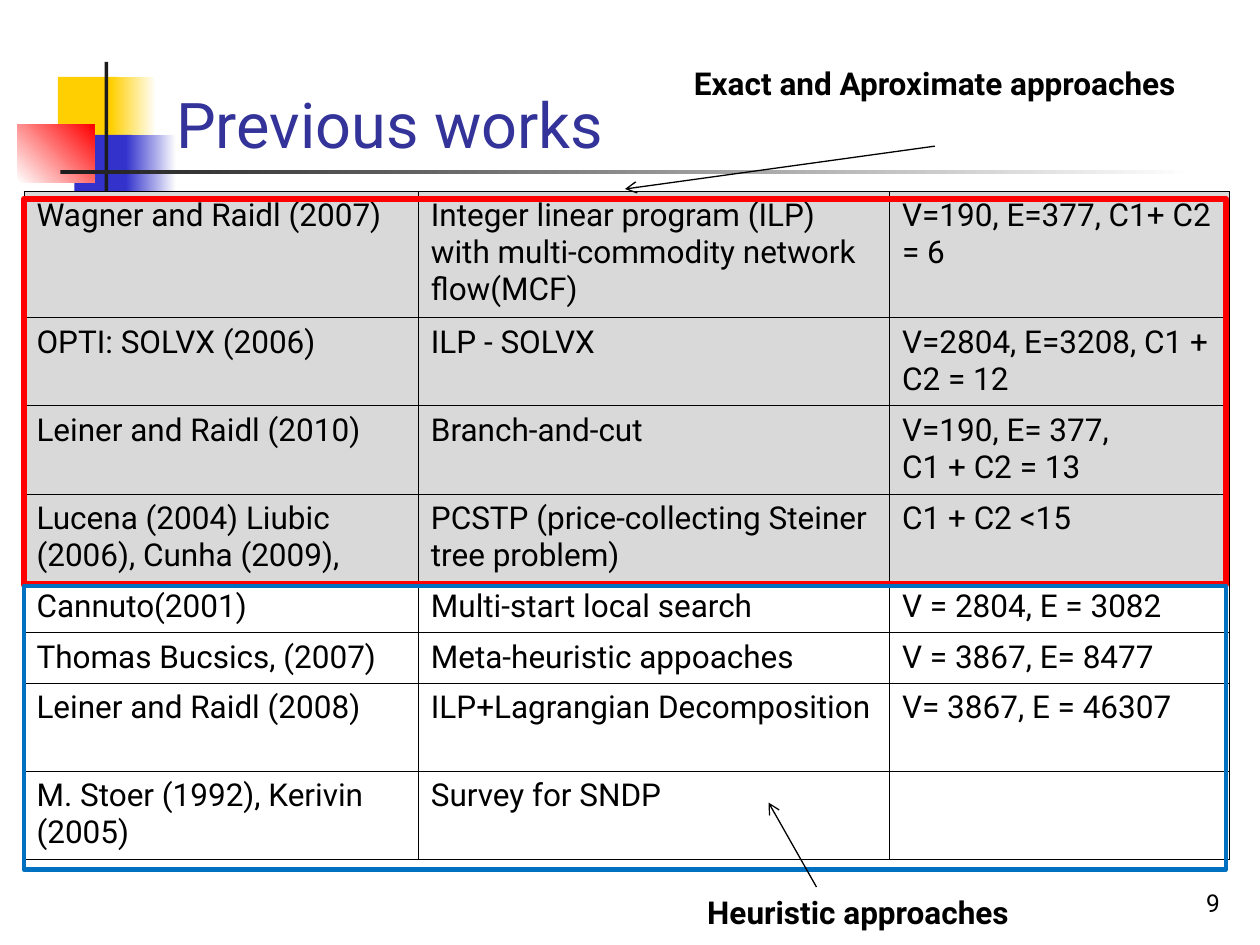
from dataclasses import dataclass

from lxml import etree
from pptx import Presentation
from pptx.dml.color import RGBColor
from pptx.enum.shapes import MSO_CONNECTOR, MSO_SHAPE
from pptx.enum.text import MSO_ANCHOR, PP_ALIGN
from pptx.oxml.ns import qn
from pptx.util import Inches, Pt

RECT = MSO_SHAPE.RECTANGLE
LINE = MSO_CONNECTOR.STRAIGHT
TOP, BOTTOM = MSO_ANCHOR.TOP, MSO_ANCHOR.BOTTOM
LEFT, CENTER, RIGHT = PP_ALIGN.LEFT, PP_ALIGN.CENTER, PP_ALIGN.RIGHT


@dataclass(frozen=True)
class Theme:
    font: str = "Roboto"
    ink: str = "000000"
    title: str = "333399"
    gold: str = "FFCF01"
    blue: str = "3333CC"
    red: str = "FF0000"
    bar: str = "1C1C1C"
    paper: str = "FFFFFF"
    gray: str = "D9D9D9"
    frame: str = "0070C0"
    head: int = 36
    body: int = 18
    small: int = 14


T = Theme()

COLS = [3.13, 3.74, 2.7]
EXACT = [
    (1, "Wagner and Raidl (2007)",
     "Integer linear program (ILP) with multi-commodity network flow(MCF)",
     "V=190, E=377, C1+ C2 = 6"),
    (0.7, "OPTI: SOLVX (2006)", "ILP - SOLVX", "V=2804, E=3208, C1 + C2 = 12"),
    (0.7, "Leiner and Raidl (2010)", "Branch-and-cut",
     "V=190, E= 377,\nC1 + C2 = 13"),
    (0.7, "Lucena (2004) Liubic (2006), Cunha (2009),",
     "PCSTP (price-collecting Steiner tree problem)", "C1 + C2 <15"),
]
HEURISTIC = [
    (0.4, "Cannuto(2001)", "Multi-start local search", "V = 2804, E = 3082"),
    (0.4, "Thomas Bucsics, (2007)", "Meta-heuristic appoaches",
     "V = 3867, E= 8477"),
    (0.7, "Leiner and Raidl (2008)", "ILP+Lagrangian Decomposition",
     "V= 3867, E = 46307"),
    (0.7, "M. Stoer (1992), Kerivin (2005)", "Survey for SNDP", ""),
]


def rgb(color):
    return RGBColor.from_string(color)


def write(frame, text, size=T.body, color=T.ink, bold=False, align=LEFT):
    frame.text = text
    for para in frame.paragraphs:
        para.alignment = align
        font = para.font
        font.name, font.size, font.bold = T.font, Pt(size), bold
        font.color.rgb = rgb(color)


def label(slide, box, text, anchor=TOP, wrap=True, **form):
    frame = slide.shapes.add_textbox(*map(Inches, box)).text_frame
    frame.word_wrap = wrap
    frame.vertical_anchor = anchor
    write(frame, text, **form)


def rect(slide, box, start=None, end=None, angle=0, line=None, width=1):
    """One colour gives a solid fill, two a gradient, none an open frame."""
    shape = slide.shapes.add_shape(RECT, *map(Inches, box))
    shape.shadow.inherit = False
    fill = shape.fill
    if end:
        fill.gradient()
        fill.gradient_angle = angle
        for stop, color in zip(fill.gradient_stops, (start, end)):
            stop.color.rgb = rgb(color)
    elif start:
        fill.solid()
        fill.fore_color.rgb = rgb(start)
    else:
        fill.background()
    if line:
        shape.line.color.rgb = rgb(line)
        shape.line.width = Pt(width)
    else:
        shape.line.fill.background()


def arrow(slide, start, end):
    link = slide.shapes.add_connector(LINE, *map(Inches, start + end))
    link.line.color.rgb = rgb(T.ink)
    link.line.width = Pt(0.75)
    etree.SubElement(link.line._get_or_add_ln(), qn("a:tailEnd"), type="arrow")
    etree.SubElement(link._element.spPr, qn("a:effectLst"))


def border(cell):
    props = cell._tc.get_or_add_tcPr()
    for side in ("lnL", "lnR", "lnT", "lnB"):
        line = etree.SubElement(props, qn("a:" + side), w=str(Pt(0.45)))
        fill = etree.SubElement(line, qn("a:solidFill"))
        etree.SubElement(fill, qn("a:srgbClr"), val=T.ink)


# Coloured blocks and crossing bars behind the title
def motif(slide, x, y):
    parts = [
        (0.32, 0.12, 0.48, 0.52, T.gold),
        (0.74, 0.12, 0.36, 0.52, T.gold, T.paper),
        (0.45, 0.58, 0.46, 0.52, T.blue),
        (0.86, 0.58, 0.4, 0.52, T.blue, T.paper),
        (0, 0.5, 0.61, 0.46, T.paper, T.red, 45),
        (0.69, 0, 0.03, 1.15, T.bar),
        (0.34, 0.86, 9, 0.03, T.bar, T.paper),
    ]
    for dx, dy, w, h, *paint in parts:
        rect(slide, (x + dx, y + dy, w, h), *paint)


# Table of earlier papers, exact methods shaded
def works(slide, x, y):
    rows = EXACT + HEURISTIC
    size = sum(COLS), sum(row[0] for row in rows)
    table = slide.shapes.add_table(
        len(rows), len(COLS), *map(Inches, (x, y, *size))).table
    table.first_row = table.horz_banding = False
    for col, width in zip(table.columns, COLS):
        col.width = Inches(width)
    for i, (height, *texts) in enumerate(rows):
        table.rows[i].height = Inches(height)
        for j, text in enumerate(texts):
            cell = table.cell(i, j)
            border(cell)
            if i < len(EXACT):
                cell.fill.solid()
                cell.fill.fore_color.rgb = rgb(T.gray)
            else:
                cell.fill.background()
            write(cell.text_frame, text)


# Frames around the two groups, each with its caption and arrow
def groups(slide, x, y, w):
    rect(slide, (x, y, w, 3.06), line=T.red, width=3.75)
    label(slide, (x + 5.21, y - 1.12, 4.04, 0.7),
          "Exact and Aproximate approaches", bold=True, align=CENTER)
    arrow(slide, (x + 7.23, y - 0.42), (x + 4.77, y - 0.08))

    rect(slide, (x, y + 3.07, w, 2.25), line=T.frame, width=2.5)
    arrow(slide, (x + 6.29, y + 5.46), (x + 5.91, y + 4.79))
    label(slide, (x + 5.2, y + 5.46, 2.84, 0.4), "Heuristic approaches",
          wrap=False, bold=True, align=CENTER)


def main():
    deck = Presentation()
    deck.slide_width, deck.slide_height = Inches(10), Inches(7.5)
    slide = deck.slides.add_slide(deck.slide_layouts[6])
    motif(slide, 0.14, 0.49)
    label(slide, (1.3, 0.23, 8.48, 1.1), "Previous works", anchor=BOTTOM,
          size=T.head, color=T.title)
    label(slide, (7.7, 6.83, 2.08, 0.5), "9", anchor=BOTTOM,
          size=T.small, align=RIGHT)
    works(slide, 0.19, 1.52)
    groups(slide, 0.19, 1.58, 9.54)
    deck.save("out.pptx")


if __name__ == "__main__":
    main()
